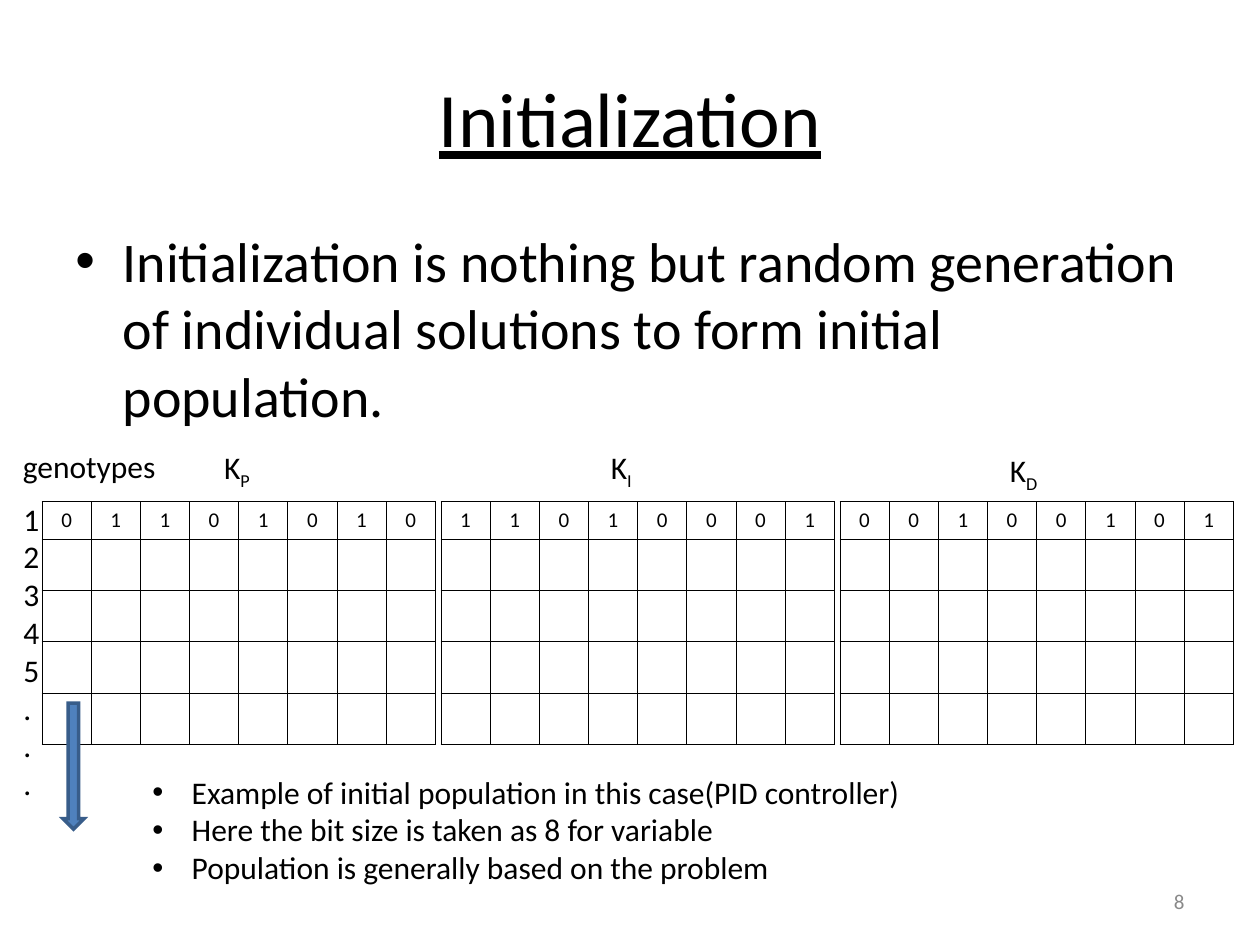
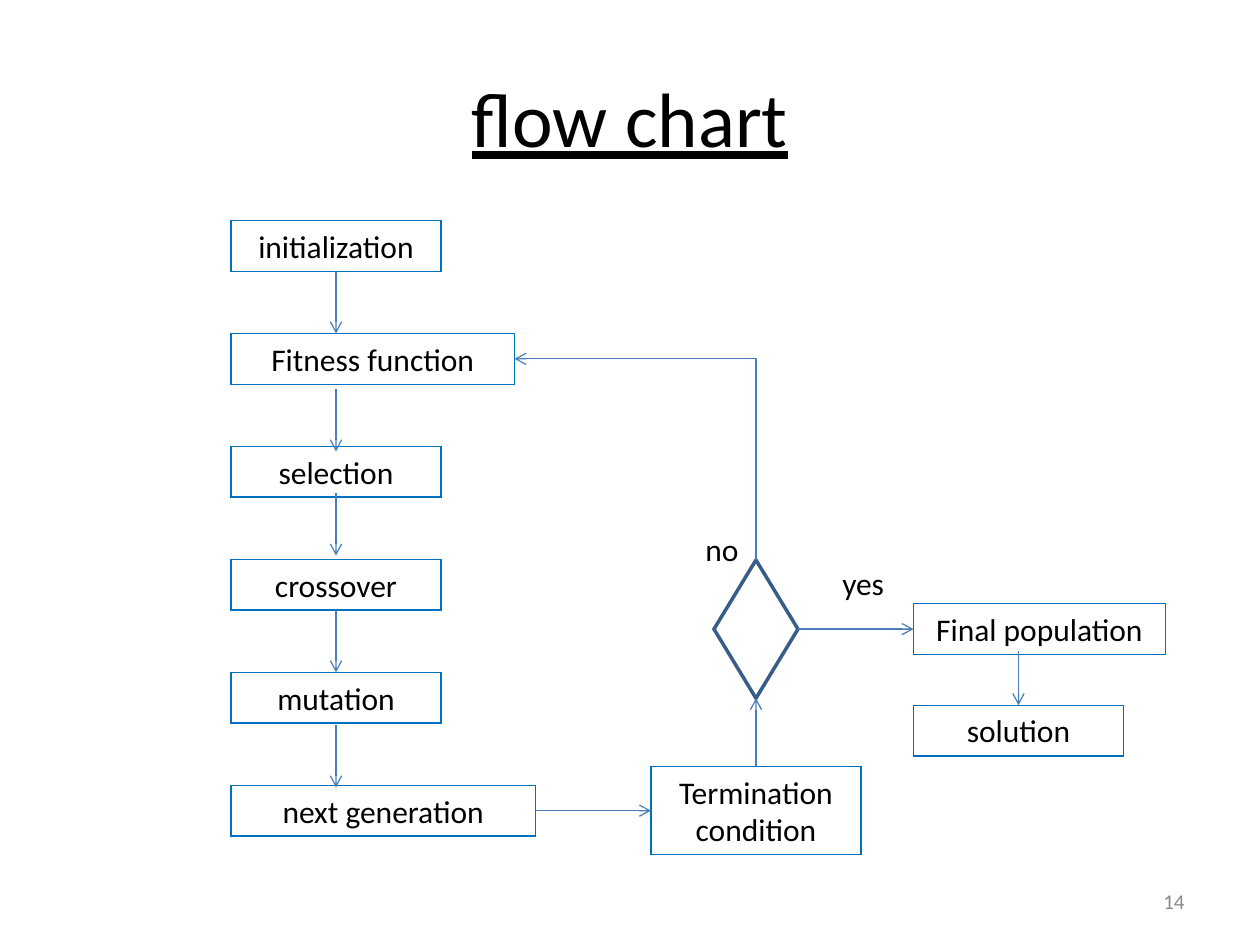
import pptx
import pptx.dml.color
import pptx.enum.shapes
import pptx.enum.text
import pptx.oxml
import pptx.oxml.ns
import pptx.util
from lxml import etree

Pt = pptx.util.Pt
RGBColor = pptx.dml.color.RGBColor
SHAPE = pptx.enum.shapes.MSO_SHAPE
CONNECTOR = pptx.enum.shapes.MSO_CONNECTOR
ALIGN = pptx.enum.text.PP_ALIGN
ANCHOR = pptx.enum.text.MSO_ANCHOR
AUTO_SIZE = pptx.enum.text.MSO_AUTO_SIZE
qn = pptx.oxml.ns.qn

BLACK = RGBColor(0x00, 0x00, 0x00)
GREY = RGBColor(0x89, 0x89, 0x89)
BLUE = RGBColor(0x4F, 0x81, 0xBD)
DARK_BLUE = RGBColor(0x38, 0x5D, 0x8A)
BOX_BLUE = RGBColor(0x00, 0x70, 0xC0)
ARROW_BLUE = RGBColor(0x4A, 0x7E, 0xBB)

TOP, LEFT, BOTTOM, RIGHT = range(4)


class Deck:
    font = "Calibri"
    size = 18

    def __init__(self, width, height):
        self.prs = pptx.Presentation()
        self.prs.slide_width = Pt(width)
        self.prs.slide_height = Pt(height)
        self.s = None

    def slide(self, title, number):
        self.s = self.prs.slides.add_slide(self.prs.slide_layouts[6])
        self.text(36, 21.6, 648, 90, [title], size=44, align=ALIGN.CENTER,
                  anchor=ANCHOR.MIDDLE, underline=True, grow=False)
        self.text(516, 500.4, 168, 28.8, [number], size=12, color=GREY,
                  align=ALIGN.RIGHT, anchor=ANCHOR.MIDDLE, grow=False)

    def run(self, p, text, size=None, color=BLACK, underline=None):
        r = p.add_run()
        r.text = text
        r.font.name = self.font
        r.font.size = Pt(size or self.size)
        r.font.color.rgb = color
        r.font.underline = underline
        return r

    def bullet(self, p, indent):
        pPr = p._p.get_or_add_pPr()
        pPr.set("marL", str(Pt(indent)))
        pPr.set("indent", str(-Pt(indent)))
        color = etree.SubElement(pPr, qn("a:buClr"))
        etree.SubElement(color, qn("a:srgbClr"), val=str(BLACK))
        etree.SubElement(pPr, qn("a:buFont"), typeface="Arial")
        etree.SubElement(pPr, qn("a:buChar"), char="•")

    def text(self, x, y, w, h, lines, align=ALIGN.LEFT, anchor=ANCHOR.TOP,
             wrap=True, grow=True, indent=None, **style):
        sp = self.s.shapes.add_textbox(Pt(x), Pt(y), Pt(w), Pt(h))
        self.fill_text(sp.text_frame, lines, align, anchor, wrap, grow, indent, **style)
        return sp

    def fill_text(self, tf, lines, align, anchor=ANCHOR.TOP, wrap=True, grow=True,
                  indent=None, **style):
        tf.word_wrap = wrap
        tf.auto_size = AUTO_SIZE.SHAPE_TO_FIT_TEXT if grow else AUTO_SIZE.NONE
        tf.vertical_anchor = anchor
        for i, line in enumerate(lines):
            p = tf.add_paragraph() if i else tf.paragraphs[0]
            p.alignment = align
            if indent:
                self.bullet(p, indent)
            self.run(p, line, **style)

    def gain(self, x, y, subscript):
        sp = self.text(x, y, 42, 31.7, ["K"])
        r = self.run(sp.text_frame.paragraphs[0], subscript)
        r.font._element.set("baseline", "-25000")

    def shape(self, kind, x, y, w, h, line, width, fill=None):
        sp = self.s.shapes.add_shape(kind, Pt(x), Pt(y), Pt(w), Pt(h))
        sp.shadow.inherit = False
        if fill is None:
            sp.fill.background()
        else:
            sp.fill.solid()
            sp.fill.fore_color.rgb = fill
        sp.line.color.rgb = line
        sp.line.width = Pt(width)
        ln = sp._element.spPr.find(qn("a:ln"))
        etree.SubElement(ln, qn("a:miter"), lim="800000")
        return sp

    def box(self, x, y, w, label, h=29):
        sp = self.shape(SHAPE.RECTANGLE, x, y, w, h, BOX_BLUE, 0.75)
        self.fill_text(sp.text_frame, [label], ALIGN.CENTER)
        return sp

    def connector(self, kind, begin, end, arrow_end):
        c = self.s.shapes.add_connector(kind, 0, 0, 0, 0)
        if isinstance(begin[0], (int, float)):
            c.begin_x, c.begin_y = Pt(begin[0]), Pt(begin[1])
        else:
            c.begin_connect(*begin)
        if isinstance(end[0], (int, float)):
            c.end_x, c.end_y = Pt(end[0]), Pt(end[1])
        else:
            c.end_connect(*end)
        c.line.color.rgb = ARROW_BLUE
        c.line.width = Pt(0.75)
        spPr = c._element.spPr
        etree.SubElement(spPr.find(qn("a:ln")), qn(arrow_end), type="arrow")
        etree.SubElement(spPr, qn("a:effectLst"))
        return c

    def arrow(self, begin, end):
        return self.connector(CONNECTOR.STRAIGHT, begin, end, "a:tailEnd")

    def corner_arrow(self, target, source):
        c = self.connector(CONNECTOR.ELBOW, target, source, "a:headEnd")
        c._element.spPr.find(qn("a:prstGeom")).set("prst", "bentConnector2")
        return c

    def bit_table(self, x, y, bits, rows=5, col_width=28.1, row_height=21.6):
        cols = len(bits)
        frame = self.s.shapes.add_table(rows, cols, Pt(x), Pt(y),
                                        Pt(col_width * cols), Pt(row_height * rows))
        table = frame.table
        table.first_row = False
        table.horz_banding = False
        for col in table.columns:
            col.width = Pt(col_width)
        for cell in table.iter_cells():
            self.border(cell)
            cell.fill.background()
        for cell, bit in zip(table.rows[0].cells, bits):
            p = cell.text_frame.paragraphs[0]
            p.alignment = ALIGN.CENTER
            self.run(p, bit, size=12)

    def border(self, cell):
        tcPr = cell._tc.get_or_add_tcPr()
        for side in ("a:lnL", "a:lnR", "a:lnT", "a:lnB"):
            ln = etree.SubElement(tcPr, qn(side), w=str(Pt(0.45)))
            fill = etree.SubElement(ln, qn("a:solidFill"))
            etree.SubElement(fill, qn("a:srgbClr"), val=str(BLACK))


def initialization(deck):
    deck.slide("Initialization", "8")
    deck.text(36, 126, 648, 356.4,
              ["Initialization is nothing but random generation of individual "
               "solutions to form initial population."],
              size=32, indent=27, grow=False)
    for x, bits in ((24, "01101010"), (252, "11010001"), (480, "00100101")):
        deck.bit_table(x, 286.5, bits)
    for x, y, subscript in ((121, 252.5, "P"), (342, 252.5, "I"), (570, 254.2, "D")):
        deck.gain(x, y, subscript)
    deck.text(6, 252, 102, 29, ["genotypes"])
    deck.text(80, 438, 443, 72,
              ["Example of initial population in this case(PID controller)",
               "Here the bit size is taken as 8 for variable",
               "Population is generally based on the problem"],
              indent=22.5, wrap=False)
    deck.shape(SHAPE.DOWN_ARROW, 36, 401.8, 12, 72, DARK_BLUE, 2, BLUE)
    deck.text(6.2, 282, 23, 180, "12345...", wrap=False)


def flow_chart(deck):
    deck.slide("flow chart", "14")
    steps = (("initialization", 120), ("Fitness function", 162), ("selection", 120),
             ("crossover", 120), ("mutation", 120), ("next generation", 174))
    init, fitness, selection, crossover, mutation, following = [
        deck.box(132, 126 + 64.55 * i, w, label) for i, (label, w) in enumerate(steps)]
    termination = deck.box(372, 438, 120, "Termination condition", h=50.5)
    decision = deck.shape(SHAPE.DIAMOND, 408, 320, 48, 79, DARK_BLUE, 2)
    final = deck.box(522, 345, 144, "Final population")
    solution = deck.box(522, 403, 120, "solution")

    for begin, end in (((init, BOTTOM), (192, 190.55)),
                       ((192, 222.5), (192, 258)),
                       ((192, 282), (192, 317.5)),
                       ((crossover, BOTTOM), (mutation, TOP)),
                       ((192, 414.5), (192, 450)),
                       ((following, RIGHT), (termination, LEFT)),
                       ((termination, TOP), (decision, BOTTOM)),
                       ((decision, RIGHT), (final, LEFT)),
                       ((582, 372), (solution, TOP))):
        deck.arrow(begin, end)
    deck.corner_arrow((fitness, RIGHT), (decision, TOP))

    deck.text(396, 299.5, 40, 29, ["no"])
    deck.text(474.2, 318.7, 46, 29, ["yes"])


def main():
    deck = Deck(720, 540)
    initialization(deck)
    flow_chart(deck)
    deck.prs.save("out.pptx")


if __name__ == "__main__":
    main()
